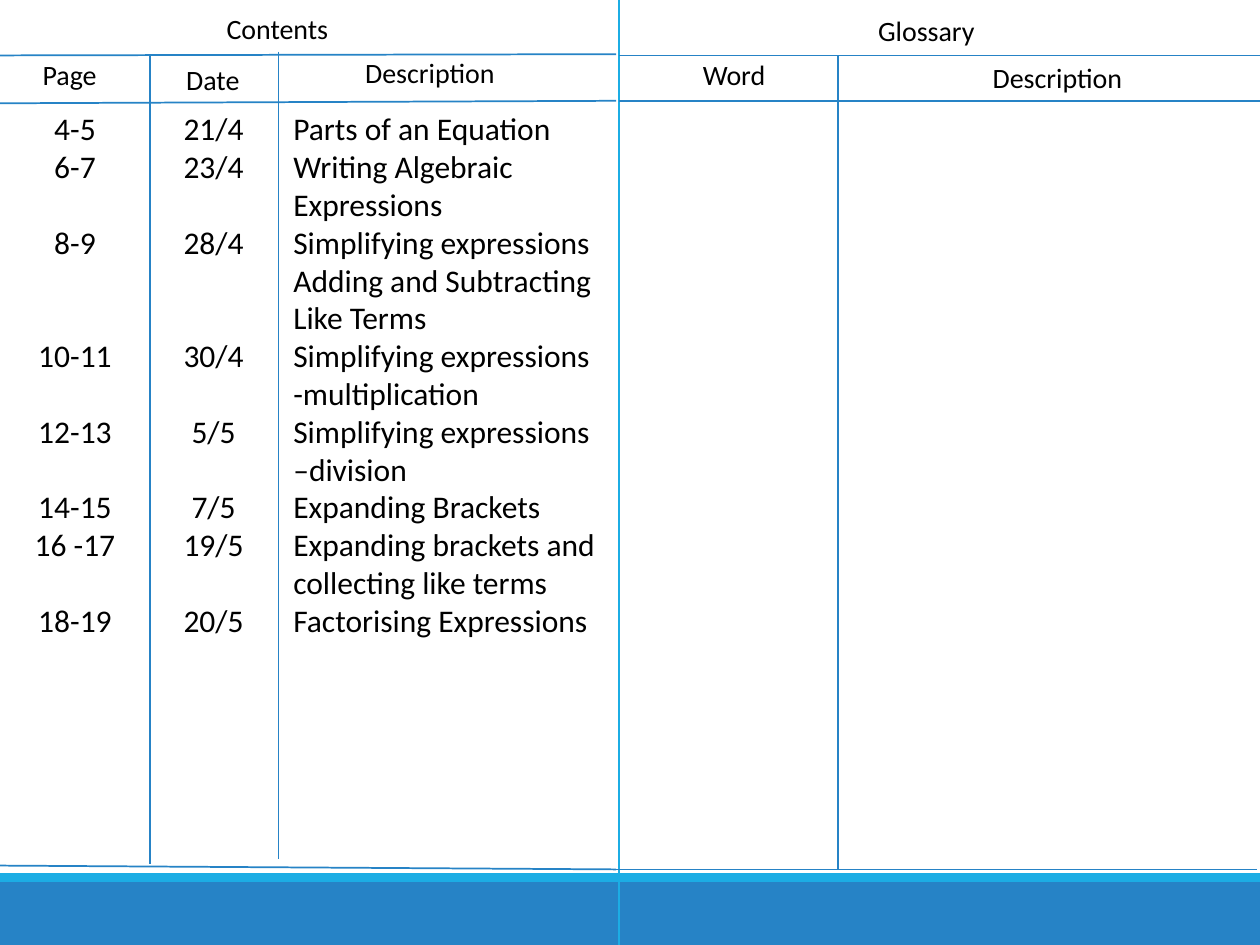
import pptx
import pptx.dml.color
import pptx.enum.shapes
import pptx.enum.text
import pptx.oxml
import pptx.util
from pptx.util import Inches

BLUE, CYAN, BLACK = "2683C6", "1CADE4", "000000"
FOLD = 4.91
LINE = 21.6

# page, date, lines taken, description
ROWS = [
    ("4-5", "21/4", 1, ["Parts of an Equation"]),
    ("6-7", "23/4", 2, ["Writing Algebraic Expressions"]),
    ("8-9", "28/4", 3, ["Simplifying expressions",
                        "Adding and Subtracting Like Terms"]),
    ("10-11", "30/4", 2, ["Simplifying expressions -multiplication"]),
    ("12-13", "5/5", 2, ["Simplifying expressions –division"]),
    ("14-15", "7/5", 1, ["Expanding Brackets"]),
    ("16 -17", "19/5", 2, ["Expanding brackets and collecting like terms"]),
    ("18-19", "20/5", 1, ["Factorising Expressions"]),
]


def tint(code):
    """Turn a hex string into a colour."""
    return pptx.dml.color.RGBColor.from_string(code)


def bar(slide, top, height, color):
    """Draw a full-width band."""
    shape = slide.shapes.add_shape(
        pptx.enum.shapes.MSO_SHAPE.RECTANGLE,
        Inches(0), Inches(top), Inches(10), Inches(height))
    shape.shadow.inherit = False
    shape.fill.solid()
    shape.fill.fore_color.rgb = tint(color)
    shape.line.fill.background()


def rule(slide, left, x1, y1, x2, y2, color=BLUE):
    """Draw a thin line, with x measured from left."""
    line = slide.shapes.add_connector(
        pptx.enum.shapes.MSO_CONNECTOR.STRAIGHT,
        Inches(left + x1), Inches(y1), Inches(left + x2), Inches(y2))
    line.line.color.rgb = tint(color)
    line.line.width = pptx.util.Pt(1)
    props = line._element.spPr
    props.append(pptx.oxml.parse_xml(
        '<a:effectLst xmlns:a="http://schemas.openxmlformats.org/drawingml/2006/main"/>'))


def text(slide, left, top, width, height, items, size=16, center=False, wrap=True):
    """Write (string, space before in points) items in a box."""
    box = slide.shapes.add_textbox(
        Inches(left), Inches(top), Inches(width), Inches(height))
    frame = box.text_frame
    frame.word_wrap = wrap
    frame.auto_size = pptx.enum.text.MSO_AUTO_SIZE.SHAPE_TO_FIT_TEXT
    for i, (words, gap) in enumerate(items):
        para = frame.add_paragraph() if i else frame.paragraphs[0]
        if center:
            para.alignment = pptx.enum.text.PP_ALIGN.CENTER
        if gap:
            para.space_before = pptx.util.Pt(gap)
        run = para.add_run()
        run.text = words
        run.font.name = "Calibri"
        run.font.size = pptx.util.Pt(size)
        run.font.color.rgb = tint(BLACK)


def heads(slide, left, labels):
    """Write the heading labels of one page."""
    for words, x, top, width, wrap in labels:
        text(slide, left + x, top, width, 0.37, [(words, 0)], wrap=wrap)


def spaced(column):
    """Pair each entry of a column with the gap left by the row above."""
    counts = [1] + [row[2] for row in ROWS]
    return [(row[column], (n - 1) * LINE) for row, n in zip(ROWS, counts)]


def contents(slide, left):
    """Build the contents page."""
    for ends in [(0, 0.44, 4.89, 0.43), (0, 0.82, 4.89, 0.8),
                 (0, 6.87, 4.89, 6.9), (1.19, 0.44, 1.19, 6.86),
                 (2.21, 0.41, 2.21, 6.82)]:
        rule(slide, left, *ends)
    heads(slide, left, [
        ("Contents", 1.7, 0.04, 1.02, False),
        ("Page", 0.24, 0.41, 0.64, False),
        ("Date", 1.38, 0.45, 0.63, False),
        ("Description", 2.8, 0.39, 1.53, True)])
    topics = [(words, 0) for row in ROWS for words in row[3]]
    for x, width, items, center in [(0, 1.19, spaced(0), True),
                                    (1.19, 1.01, spaced(1), True),
                                    (2.23, 2.66, topics, False)]:
        text(slide, left + x, 0.82, width, 4.34, items, 18, center)


def glossary(slide, left):
    """Build the glossary page."""
    for ends in [(0, 0.44, 5.09, 0.44), (0, 0.8, 5.09, 0.8),
                 (-0.02, 6.9, 5.07, 6.9), (1.74, 0.44, 1.74, 6.9)]:
        rule(slide, left, *ends)
    heads(slide, left, [
        ("Glossary", 1.96, 0.06, 1.11, True),
        ("Word", 0.57, 0.41, 0.88, True),
        ("Description", 2.87, 0.43, 1.24, True)])


def main():
    """Build and save the slide."""
    deck = pptx.Presentation()
    deck.slide_width, deck.slide_height = Inches(10), Inches(7.5)
    slide = deck.slides.add_slide(deck.slide_layouts[6])
    bar(slide, 7, 0.5, BLUE)
    bar(slide, 6.93, 0.07, CYAN)
    rule(slide, FOLD, 0, 0, 0, 7.5, CYAN)
    contents(slide, 0)
    glossary(slide, FOLD)
    deck.save("out.pptx")


if __name__ == "__main__":
    main()
